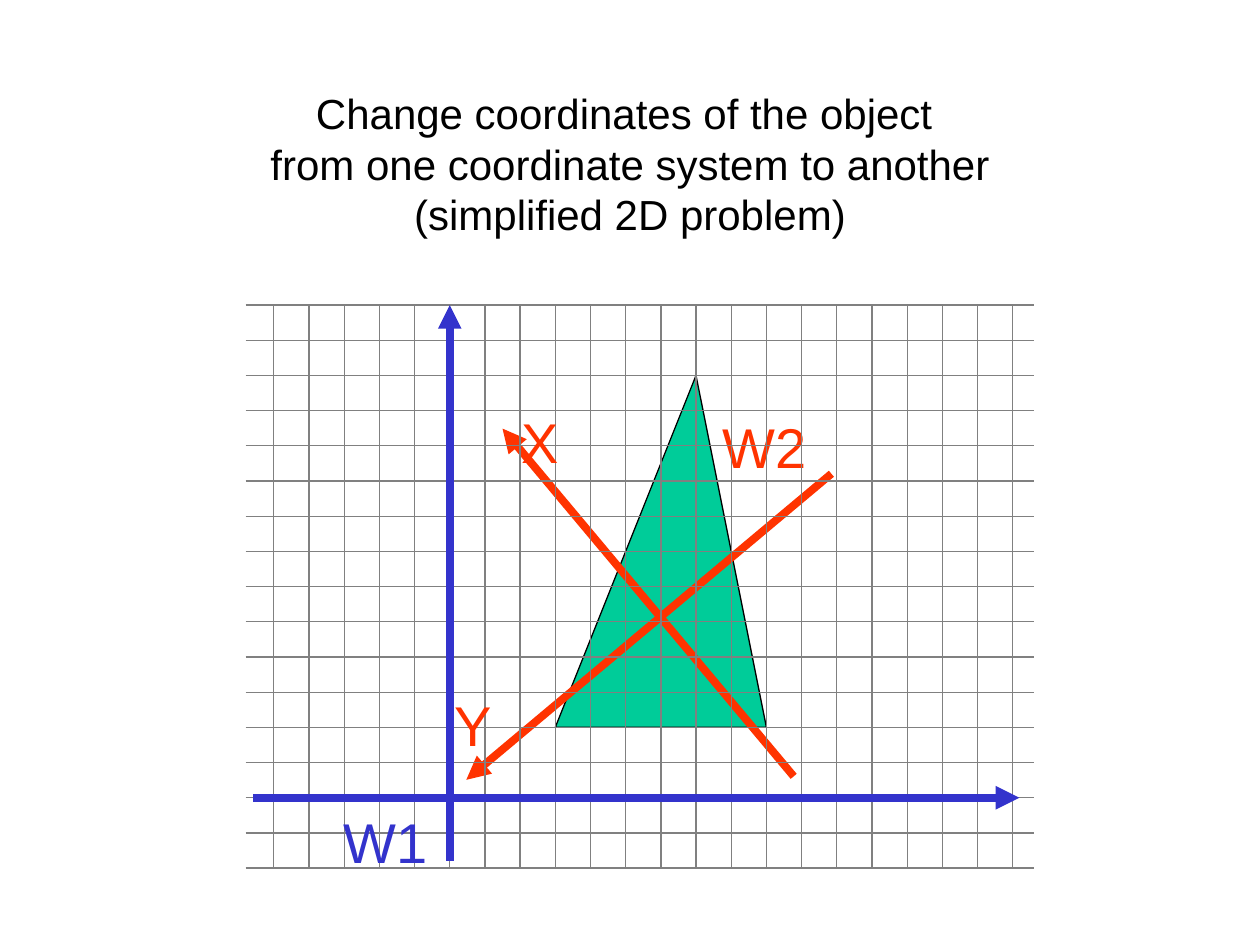
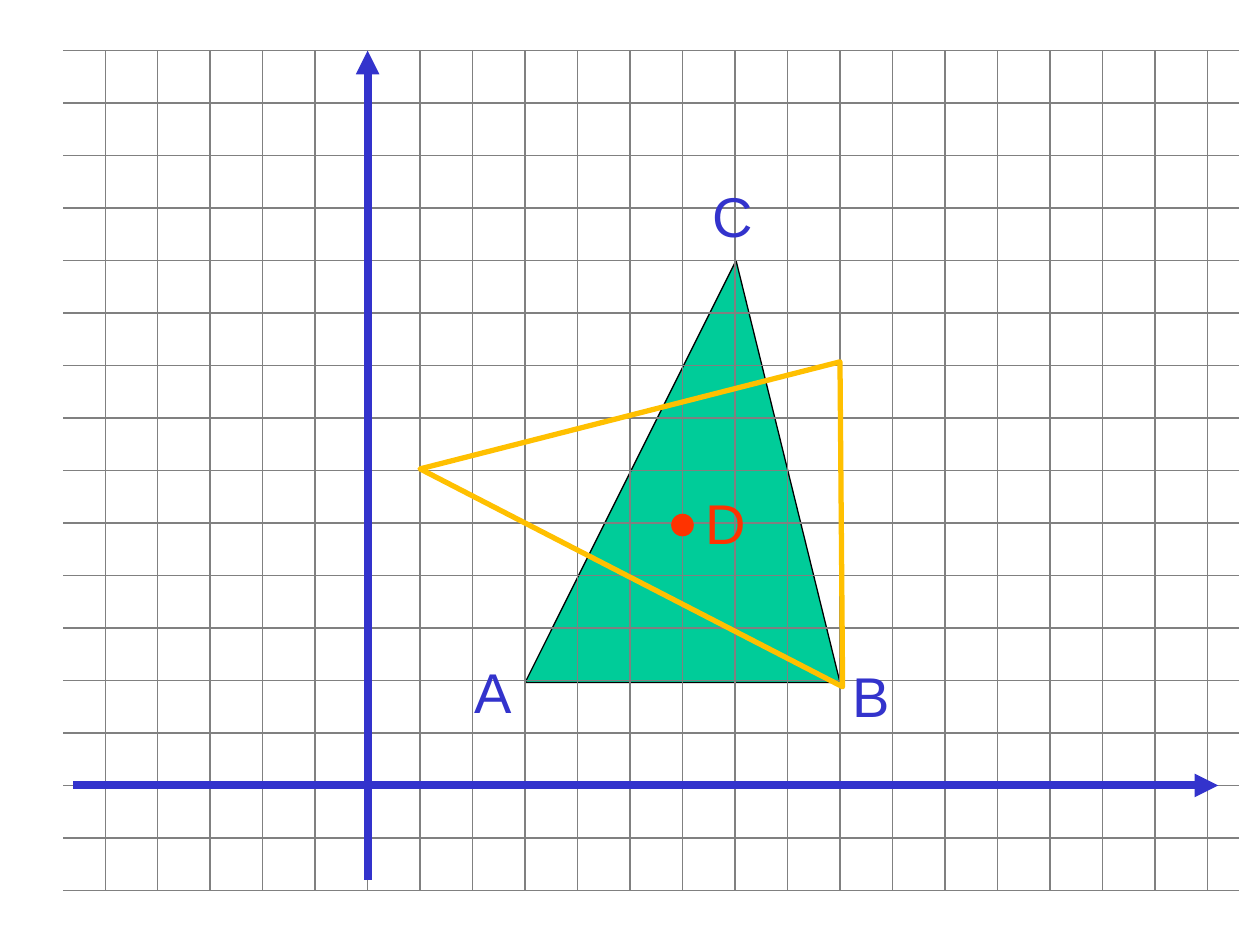
from dataclasses import dataclass

from pptx import Presentation
from pptx.dml.color import RGBColor
from pptx.enum.shapes import MSO_CONNECTOR, MSO_SHAPE
from pptx.enum.text import MSO_ANCHOR, MSO_AUTO_SIZE, PP_ALIGN
from pptx.oxml.ns import qn
from pptx.util import Cm, Pt
from lxml.etree import SubElement

BLACK = RGBColor(0x00, 0x00, 0x00)
GRAY = RGBColor(0x80, 0x80, 0x80)
BLUE = RGBColor(0x33, 0x33, 0xCC)
RED = RGBColor(0xFF, 0x33, 0x00)
GREEN = RGBColor(0x00, 0xCC, 0x99)
AMBER = RGBColor(0xFF, 0xC0, 0x00)

FONT = "Arial"
TITLE_ONLY, BLANK = 5, 6
ROWS, COLUMNS = 16, 22
ORIGIN_COLUMN, ORIGIN_ROW = 5, 14


@dataclass
class Grid:
    """Squared paper in cm, with room left and right of the outer columns."""
    left: float
    right: float
    top: float
    bottom: float
    first_column: float

    @property
    def pitch(self):
        return (self.bottom - self.top) / ROWS

    def column(self, i):
        return self.first_column + i * self.pitch

    def row(self, i):
        return self.top + i * self.pitch

    def point(self, x, y):
        """Turn units from the origin of the axes into cm on the slide."""
        return self.column(ORIGIN_COLUMN + x), self.row(ORIGIN_ROW - y)


def write(tf, text, size=32, color=BLACK, align=PP_ALIGN.LEFT):
    p = tf.paragraphs[0]
    p.alignment = align
    for i, line in enumerate(text.split("\n")):
        if i:
            p.add_line_break()
        r = p.add_run()
        r.text = line
        r.font.name = FONT
        r.font.size = Pt(size)
        r.font.bold = False
        r.font.color.rgb = color
    return p


def add_title(s, text):
    sp = s.shapes.title
    sp.left, sp.top, sp.width, sp.height = Cm(1.9), Cm(1.7), Cm(21.6), Cm(3.18)
    sp.text_frame.vertical_anchor = MSO_ANCHOR.MIDDLE
    p = write(sp.text_frame, text, size=24, align=PP_ALIGN.CENTER)
    p.space_before, p.space_after = Pt(12), Pt(6)


def add_label(s, text, left, top, color, width=1.25):
    sp = s.shapes.add_textbox(Cm(left), Cm(top), Cm(width), Cm(1.62))
    sp.text_frame.word_wrap = False
    sp.text_frame.auto_size = MSO_AUTO_SIZE.SHAPE_TO_FIT_TEXT
    write(sp.text_frame, text, color=color)


def add_line(s, start, end, color=GRAY, width=0.75, arrow=False):
    ends = [Cm(v) for v in (*start, *end)]
    sp = s.shapes.add_connector(MSO_CONNECTOR.STRAIGHT, *ends)
    sp.line.color.rgb = color
    sp.line.width = Pt(width)
    if arrow:
        SubElement(sp.line._get_or_add_ln(), qn("a:tailEnd"), type="triangle")
    SubElement(sp._element.spPr, qn("a:effectLst"))


def add_arrow(s, start, end, color):
    add_line(s, start, end, color, width=4.5, arrow=True)


def paint(sp, fill, line, width=0.75):
    sp.shadow.inherit = False
    if fill is None:
        sp.fill.background()
    else:
        sp.fill.solid()
        sp.fill.fore_color.rgb = fill
    sp.line.color.rgb = line
    sp.line.width = Pt(width)


def add_triangle(s, grid, corners, fill=GREEN, line=BLACK, width=0.75):
    """Draw a triangle whose corners are given in grid units."""
    first, *others = [tuple(Cm(v) for v in grid.point(*c)) for c in corners]
    builder = s.shapes.build_freeform(*first, scale=1.0)
    builder.add_line_segments(others, close=True)
    paint(builder.convert_to_shape(), fill, line, width)


def add_dot(s, grid, x, y, size=0.43):
    cx, cy = grid.point(x, y)
    sp = s.shapes.add_shape(MSO_SHAPE.OVAL, Cm(cx - size / 2), Cm(cy - size / 2),
                            Cm(size), Cm(size))
    paint(sp, RED, RED)


def add_grid(s, grid):
    for i in range(ROWS + 1):
        y = grid.row(i)
        add_line(s, (grid.left, y), (grid.right, y))
    for i in range(COLUMNS):
        x = grid.column(i)
        add_line(s, (x, grid.bottom), (x, grid.top))


def add_axes(s, grid, left, right, bottom):
    x, y = grid.point(0, 0)
    add_arrow(s, (x, bottom), (x, grid.top), BLUE)
    add_arrow(s, (left, y), (right, y), BLUE)


def build_systems_slide(prs):
    s = prs.slides.add_slide(prs.slide_layouts[TITLE_ONLY])
    grid = Grid(left=4.95, right=20.85, top=6.15, bottom=17.5, first_column=5.52)
    add_triangle(s, grid, [(3, 2), (9, 2), (7, 12)])
    add_arrow(s, (16.76, 9.55), (9.4, 15.72), RED)
    add_arrow(s, (16, 15.65), (10.13, 8.64), RED)
    add_label(s, "W2", 14.31, 8.2, RED, width=2.25)
    add_grid(s, grid)
    add_axes(s, grid, left=5.11, right=20.55, bottom=17.35)
    add_label(s, "W1", 6.67, 16.16, BLUE, width=2.25)
    add_label(s, "Y", 8.92, 13.79, RED)
    add_label(s, "X", 10.26, 8.1, RED)
    add_title(s, "Change coordinates of the object \n"
                 "from one coordinate system to another\n"
                 "(simplified 2D problem)")


def build_triangle_slide(prs):
    s = prs.slides.add_slide(prs.slide_layouts[BLANK])
    grid = Grid(left=1.27, right=24.97, top=1.02, bottom=17.95, first_column=2.12)
    add_triangle(s, grid, [(3, 1.96), (9, 1.96), (7.02, 10)])
    add_grid(s, grid)
    add_axes(s, grid, left=1.48, right=24.56, bottom=17.73)
    add_label(s, "A", 9.32, 13.13, BLUE)
    add_label(s, "B", 16.94, 13.21, BLUE)
    add_label(s, "C", 14.12, 3.53, BLUE, width=1.32)
    add_label(s, "D", 13.97, 9.73, RED, width=1.32)
    add_dot(s, grid, 6, 4.96)
    add_triangle(s, grid, [(9.05, 1.88), (9, 8.07), (1, 6.03)],
                 fill=None, line=AMBER, width=3)


def main():
    prs = Presentation()
    prs.slide_width, prs.slide_height = Cm(25.4), Cm(19.05)
    build_systems_slide(prs)
    build_triangle_slide(prs)
    prs.save("out.pptx")


if __name__ == "__main__":
    main()
